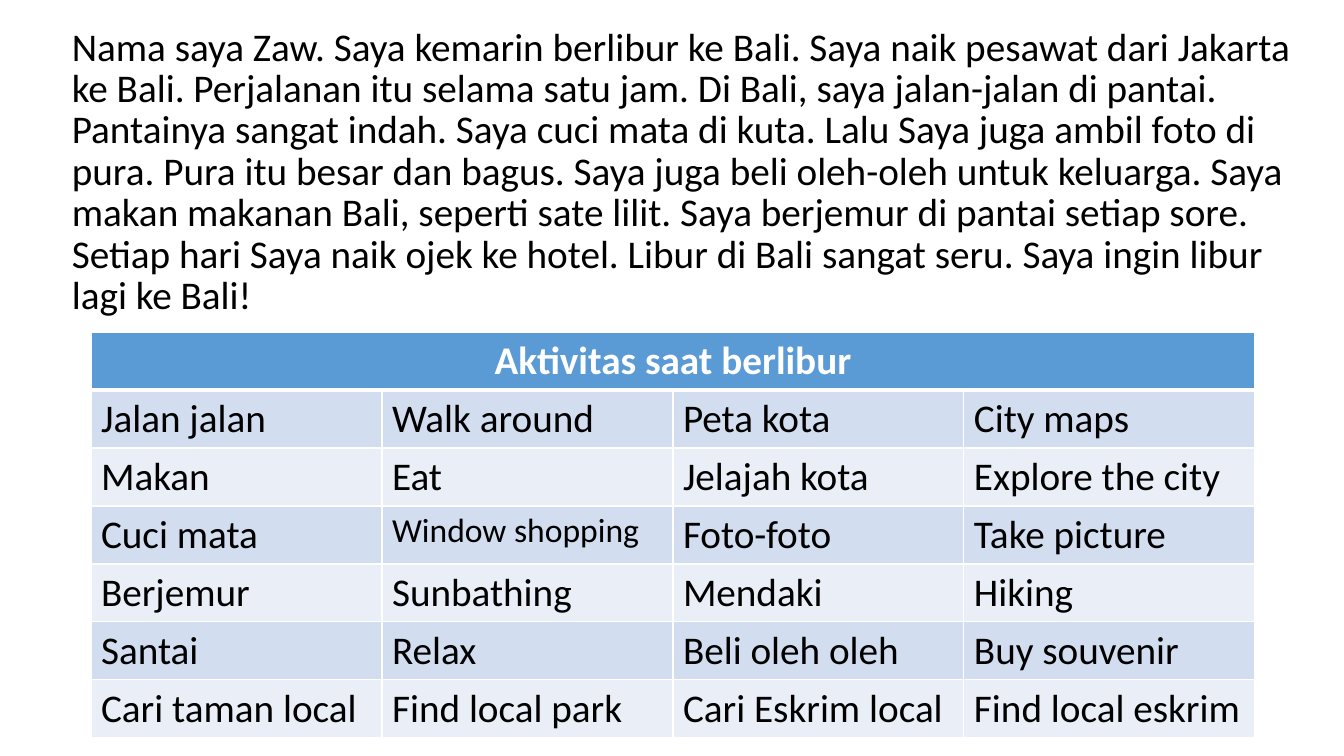
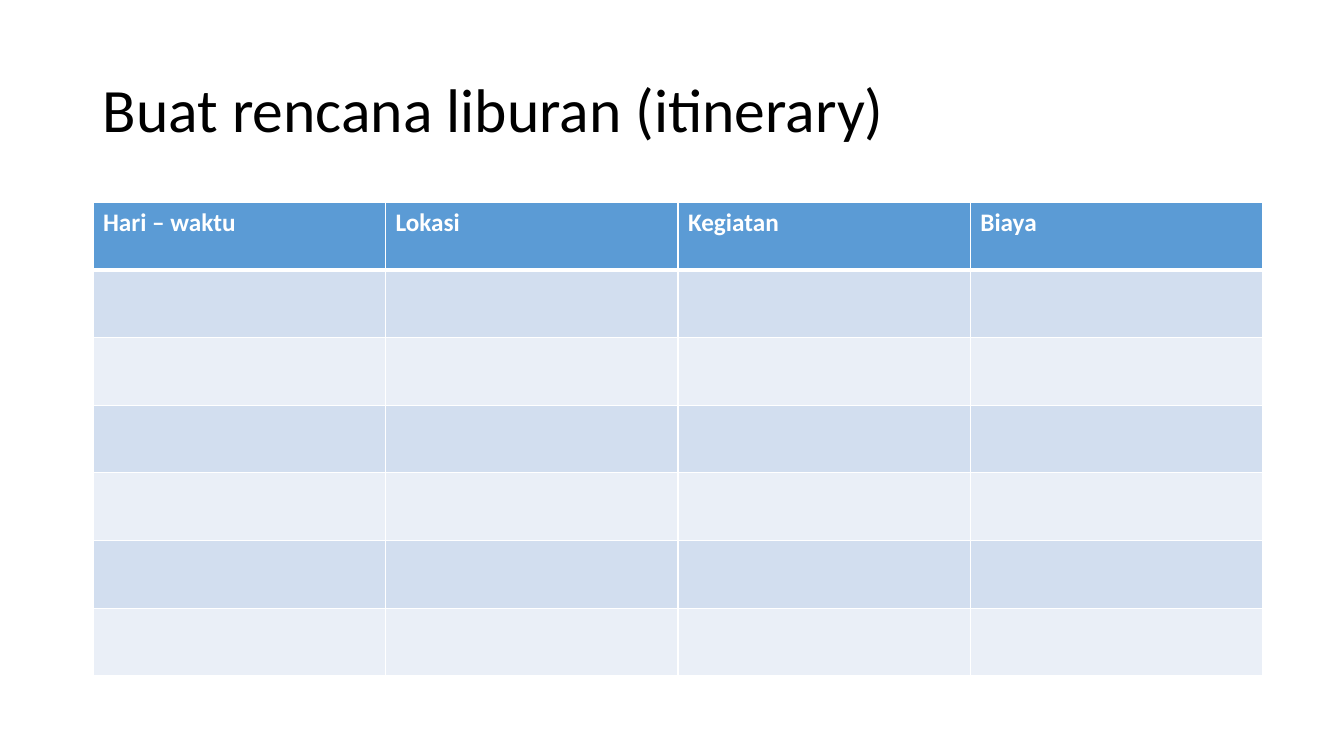
from dataclasses import dataclass

from lxml.etree import SubElement
from pptx import Presentation
from pptx.dml.color import RGBColor
from pptx.enum.text import MSO_ANCHOR, PP_ALIGN
from pptx.oxml.ns import qn
from pptx.util import Pt

SCALE = 914400 / 100.8  # EMU in one px


@dataclass(frozen=True)
class Theme:
    font: str = "Calibri"
    ink: str = "000000"
    paper: str = "FFFFFF"
    head: str = "5B9BD5"
    bands: tuple = ("D2DEEF", "EAEFF7")
    title: int = 44
    body: int = 28
    small: int = 24
    label: int = 18
    rule: int = 1
    thick: int = 3


THEME = Theme()

STORY = (
    "Nama saya Zaw. Saya kemarin berlibur ke Bali. Saya naik pesawat dari "
    "Jakarta ke Bali. Perjalanan itu selama satu jam. Di Bali, saya "
    "jalan-jalan di pantai. Pantainya sangat indah. Saya cuci mata di kuta. "
    "Lalu Saya juga ambil foto di pura. Pura itu besar dan bagus. Saya juga "
    "beli oleh-oleh untuk keluarga. Saya makan makanan Bali, seperti sate "
    "lilit. Saya berjemur di pantai setiap sore. Setiap hari Saya naik ojek "
    "ke hotel. Libur di Bali sangat seru. Saya ingin libur lagi ke Bali!"
)
WORDS = [
    ["Aktivitas saat berlibur", "", "", ""],
    ["Jalan jalan", "Walk around", "Peta kota", "City maps"],
    ["Makan", "Eat", "Jelajah kota", "Explore the city"],
    ["Cuci mata", "Window shopping", "Foto-foto", "Take picture"],
    ["Berjemur", "Sunbathing", "Mendaki", "Hiking"],
    ["Santai", "Relax", "Beli oleh oleh", "Buy souvenir"],
    ["Cari taman local", "Find local park", "Cari Eskrim local",
     "Find local eskrim"],
]
PLAN = [["Hari – waktu", "Lokasi", "Kegiatan", "Biaya"]] + [[""] * 4] * 6


def px(n):
    return round(n * SCALE)


def style(para, size, color, bold=False):
    font = para.font
    font.name, font.size, font.bold = THEME.font, Pt(size), bold
    font.color.rgb = RGBColor.from_string(color)


def add_text(slide, box, text, size, anchor, space):
    frame = slide.shapes.add_textbox(*map(px, box)).text_frame
    frame.word_wrap = True
    frame.vertical_anchor = anchor
    para = frame.paragraphs[0]
    para.text = text
    para.line_spacing = space
    style(para, size, THEME.ink)


def add_rules(cell, row):
    """White cell borders, thick between the header and the body."""
    props = cell._tc.get_or_add_tcPr()
    for side in "LRTB":
        thick = (row, side) in ((0, "B"), (1, "T"))
        width = Pt(THEME.thick if thick else THEME.rule)
        line = SubElement(props, qn(f"a:ln{side}"), w=str(width))
        fill = SubElement(line, qn("a:solidFill"))
        SubElement(fill, qn("a:srgbClr"), val=THEME.paper)


def add_grid(slide, box, rows, size, merge=False, sizes=None):
    """Table with a blue header and banded rows; sizes holds odd text sizes."""
    count, wide = len(rows), len(rows[0])
    grid = slide.shapes.add_table(count, wide, *map(px, box)).table
    for col in grid.columns:
        col.width = px(box[2] / wide)
    for row in grid.rows:
        row.height = px(box[3] / count)
    for r, row in enumerate(rows):
        for c, text in enumerate(row):
            cell = grid.cell(r, c)
            add_rules(cell, r)
            cell.fill.solid()
            tint = THEME.bands[(r - 1) % 2] if r else THEME.head
            cell.fill.fore_color.rgb = RGBColor.from_string(tint)
            cell.text = text
            style(cell.text_frame.paragraphs[0], (sizes or {}).get(text, size),
                  THEME.ink if r else THEME.paper, bold=r == 0)
    if merge:
        grid.cell(0, 0).merge(grid.cell(0, wide - 1))
        grid.cell(0, 0).text_frame.paragraphs[0].alignment = PP_ALIGN.CENTER


def story_slide(slide):
    # Story above, word list below
    add_text(slide, (62, 23, 1248, 300), STORY, THEME.body,
             MSO_ANCHOR.TOP, 0.88)
    add_grid(slide, (91, 332, 1164, 406), WORDS, THEME.body, merge=True,
             sizes={"Window shopping": THEME.small})


def plan_slide(slide):
    # Title above, empty itinerary below
    add_text(slide, (93, 40, 1159, 146), "Buat rencana liburan (itinerary)",
             THEME.title, MSO_ANCHOR.MIDDLE, 0.9)
    add_grid(slide, (93, 202, 1170, 474), PLAN, THEME.label)


def main():
    deck = Presentation()
    deck.slide_width, deck.slide_height = px(1344), px(756)
    for build in (story_slide, plan_slide):
        build(deck.slides.add_slide(deck.slide_layouts[6]))
    deck.save("out.pptx")


if __name__ == "__main__":
    main()
